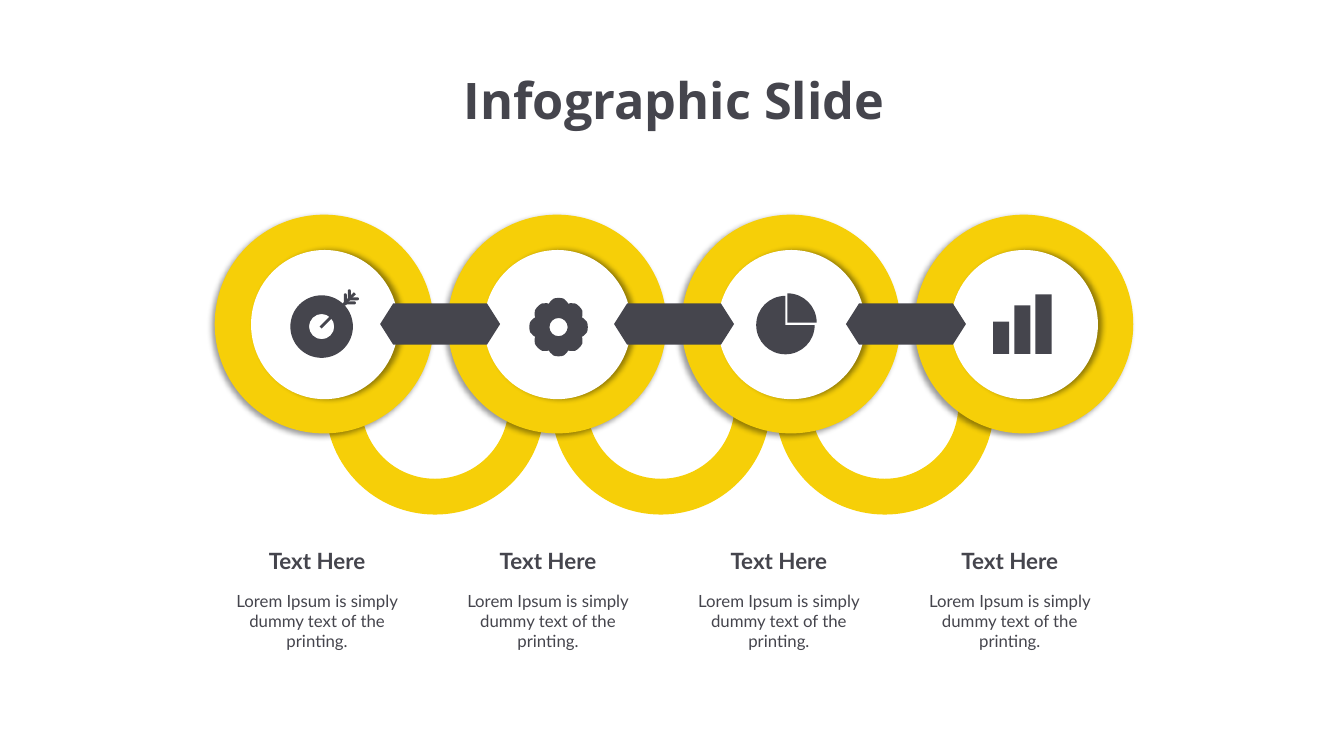
from collections.abc import Callable
from dataclasses import dataclass
from math import cos, radians, sin

from lxml.etree import SubElement
from pptx import Presentation
from pptx.dml.color import RGBColor
from pptx.enum.shapes import MSO_SHAPE as Preset
from pptx.enum.text import MSO_AUTO_SIZE as AutoSize, PP_ALIGN as Align
from pptx.oxml.ns import qn
from pptx.shapes.autoshape import Shape
from pptx.shapes.shapetree import GroupShapes, SlideShapes
from pptx.util import Emu, Inches, Pt

EMU_PER_PX = 9144
QUARTER_HANDLE = 0.5523
COLORS = {"yellow": "F6CF08", "dark": "45454D", "white": "FFFFFF", "shadow": "000000"}

Canvas = SlideShapes | GroupShapes
Point = tuple[float, float]


@dataclass(frozen=True)
class Box:
    left: int
    top: int
    width: int
    height: int

    def emu(self) -> tuple[Emu, Emu, Emu, Emu]:
        return px(self.left), px(self.top), px(self.width), px(self.height)


@dataclass(frozen=True)
class TextStyle:
    font: str
    size: int
    bold: bool = False
    wrap: bool = True
    side_inset: int = 10


@dataclass(frozen=True)
class Step:
    ring_left: int
    draw_icon: Callable[[SlideShapes], None]
    heading: str = "Text Here"
    body: str = "Lorem Ipsum is simply dummy text of the printing."


TITLE = TextStyle("Open Sans", 36, bold=True)
HEADING = TextStyle("Lato", 16, bold=True, wrap=False)
BODY = TextStyle("Lato", 12, side_inset=0)


def px(length: float) -> Emu:
    return Emu(round(length * EMU_PER_PX))


def paint(shape: Shape, color: str) -> Shape:
    shape.shadow.inherit = False
    shape.fill.solid()
    shape.fill.fore_color.rgb = RGBColor.from_string(COLORS[color])
    shape.line.fill.background()
    return shape


def add_preset(canvas: Canvas, preset: Preset, box: Box, color: str) -> Shape:
    return paint(canvas.add_shape(preset, *box.emu()), color)


def add_outline(canvas: Canvas, color: str, *contours: list[Point]) -> Shape:
    scaled = [[(px(x), px(y)) for x, y in contour] for contour in contours]
    builder = canvas.build_freeform(*scaled[0][0], scale=1.0)
    for index, contour in enumerate(scaled):
        if index:
            builder.move_to(*contour[0])
        builder.add_line_segments(contour[1:], close=True)
    return paint(builder.convert_to_shape(), color)


def add_curves(canvas: Canvas, color: str, *contours: list[Point]) -> None:
    outline = add_outline(canvas, color, *contours)
    segments = list(outline._element.iter(qn("a:lnTo")))
    for index in range(0, len(segments), 3):
        curve, *rest = segments[index:index + 3]
        curve.tag = qn("a:cubicBezTo")
        for segment in rest:
            curve.append(segment[0])
            segment.getparent().remove(segment)


def rotate(point: Point, degrees: float) -> Point:
    x, y = point
    turn = radians(degrees)
    return x * cos(turn) - y * sin(turn), x * sin(turn) + y * cos(turn)


def arc(x: float, y: float, radius: float, start: int, quarters: int) -> list[Point]:
    side = 1 if quarters > 0 else -1
    handle = side * QUARTER_HANDLE
    unit = [(1, 0)]
    for index in range(abs(quarters)):
        quarter = [(1, handle), (QUARTER_HANDLE, side), (0, side)]
        unit += [rotate(point, 90 * side * index) for point in quarter]
    turned = [rotate(point, start) for point in unit]
    return [(x + radius * dx, y + radius * dy) for dx, dy in turned]


def add_shadow(shape: Shape, degrees: int) -> None:
    effects = shape._element.spPr.find(qn("a:effectLst"))
    shadow = SubElement(
        effects, qn("a:outerShdw"), blurRad=str(Pt(4)), dist=str(Pt(3)),
        dir=str(degrees * 60000), algn="ctr", rotWithShape="0",
    )
    tint = SubElement(shadow, qn("a:srgbClr"), val=COLORS["shadow"])
    SubElement(tint, qn("a:alpha"), val="40000")


def add_text(canvas: SlideShapes, text: str, box: Box, style: TextStyle) -> None:
    frame = canvas.add_textbox(*box.emu()).text_frame
    frame.word_wrap = style.wrap
    frame.auto_size = AutoSize.SHAPE_TO_FIT_TEXT
    frame.margin_left = frame.margin_right = px(style.side_inset)
    paragraph = frame.paragraphs[0]
    paragraph.text = text
    paragraph.alignment = Align.CENTER
    paragraph.font.name = style.font
    paragraph.font.size = Pt(style.size)
    paragraph.font.bold = style.bold
    paragraph.font.color.rgb = RGBColor.from_string(COLORS["dark"])


def draw_target(canvas: SlideShapes) -> None:
    target = canvas.add_group_shape().shapes
    x, y = 319, 324
    add_curves(target, "dark", arc(x, y, 31, 45, 4), arc(x, y, 12.5, 45, -4))
    add_outline(target, "dark", [(317, 324), (351, 290), (353, 292), (319, 326)])
    for feather in (
        Box(341, 291, 3, 12), Box(341, 299, 12, 3),
        Box(345, 287, 3, 11), Box(345, 295, 11, 3),
    ):
        bar = add_preset(target, Preset.ROUNDED_RECTANGLE, feather, "dark")
        bar.adjustments[0] = 0.5


def draw_gear(canvas: SlideShapes) -> None:
    x, y = 554, 324.5
    petal = [
        (29, 4), (28, 7), (25, 8.5),
        (23, 9), (22.6, 9.9), rotate((25, -8.5), 45),
        rotate((28, -7), 45), rotate((29, -4), 45), rotate((29, 0), 45),
    ]
    rim = [(29, 0)] + [rotate(point, 45 * i) for i in range(8) for point in petal]
    edge = [(x + dx, y + dy) for dx, dy in rim]
    add_curves(canvas, "dark", edge, arc(x, y, 9, 0, -4))


def draw_pie(canvas: SlideShapes) -> None:
    pie = canvas.add_group_shape().shapes
    for x, y, start, quarters in ((781, 320, -90, 1), (779, 322.5, 0, 3)):
        add_curves(pie, "dark", arc(x, y, 29, start, quarters) + [(x, y)] * 3)


def draw_bars(canvas: SlideShapes) -> None:
    bars = canvas.add_group_shape().shapes
    baseline = 351
    for index, height in enumerate((32, 48, 59)):
        box = Box(985 + 21 * index, baseline - height, 16, height)
        add_preset(bars, Preset.RECTANGLE, box, "dark")


def draw_loop(canvas: SlideShapes, left: int) -> None:
    x, y = left + 108.5, 402
    outer, inner = arc(x, y, 108.5, 0, 2), arc(x, y, 73, 180, -2)
    add_curves(canvas, "yellow", outer + inner[:1] * 2 + inner)


def draw_ring(canvas: SlideShapes, left: int) -> None:
    outer = add_preset(canvas, Preset.OVAL, Box(left, 213, 217, 217), "yellow")
    add_shadow(outer, 135)
    inner = add_preset(canvas, Preset.OVAL, Box(left + 36, 248, 146, 148), "white")
    add_shadow(inner, 0)


def draw_link(canvas: SlideShapes, left: int) -> None:
    right, top, bottom, tip = left + 119, 301, 342, 13
    middle = (top + bottom) / 2
    add_outline(canvas, "dark", [
        (left + tip, top), (right - tip, top), (right, middle),
        (right - tip, bottom), (left + tip, bottom), (left, middle),
    ])


STEPS = (
    Step(213, draw_target), Step(444, draw_gear),
    Step(676, draw_pie), Step(907, draw_bars),
)


def main() -> None:
    deck = Presentation()
    deck.slide_width, deck.slide_height = Inches(13.33), Inches(7.5)
    canvas = deck.slides.add_slide(deck.slide_layouts[6]).shapes
    for left in (323, 547, 769):
        draw_loop(canvas, left)
    for index, step in enumerate(STEPS):
        shift = 229 * index
        draw_ring(canvas, step.ring_left)
        step.draw_icon(canvas)
        add_text(canvas, step.heading, Box(254 + shift, 538, 121, 37), HEADING)
        add_text(canvas, step.body, Box(222 + shift, 581, 185, 71), BODY)
    for left in (377, 609, 839):
        draw_link(canvas, left)
    add_text(canvas, "Infographic Slide", Box(223, 64, 891, 71), TITLE)
    deck.save("out.pptx")


if __name__ == "__main__":
    main()
